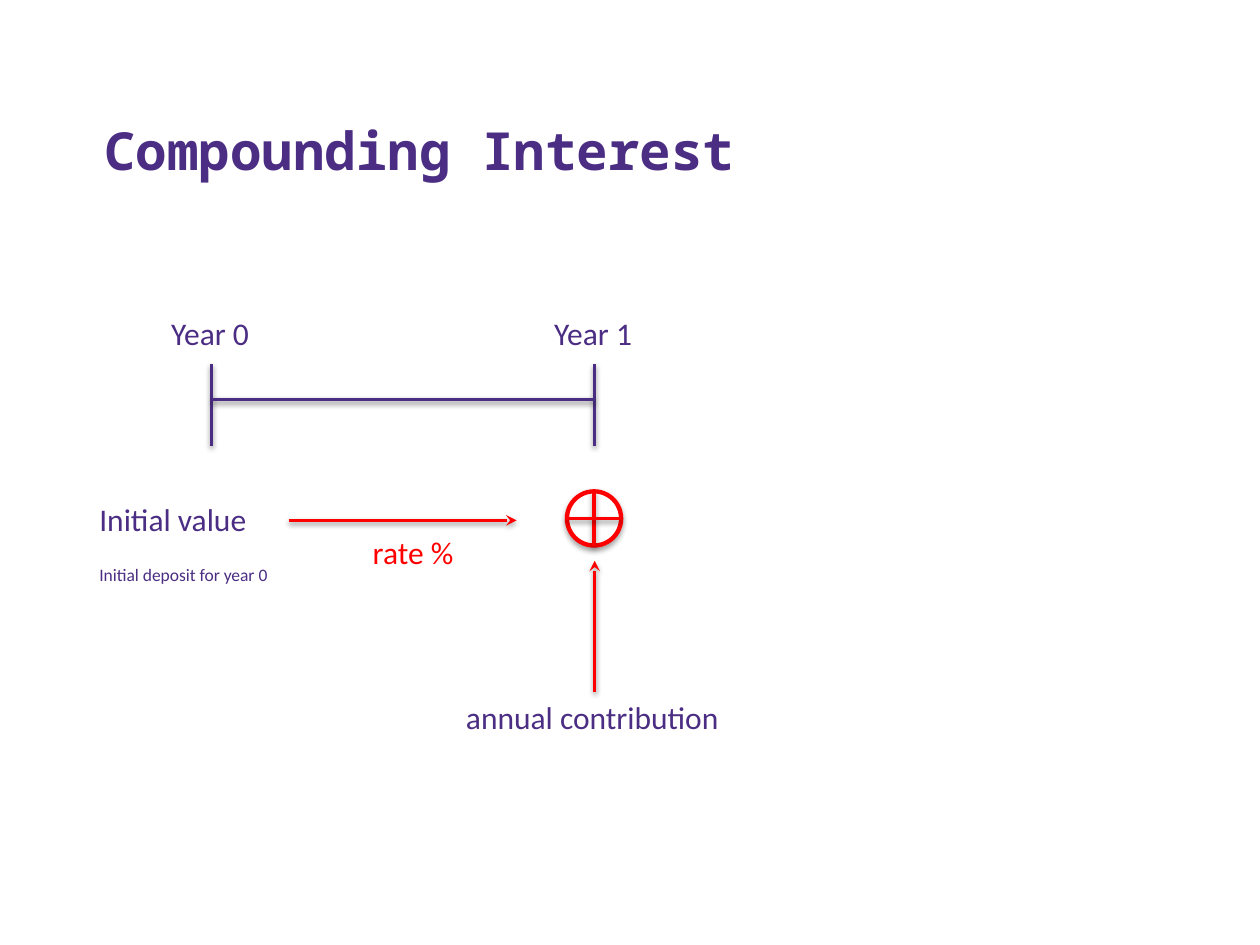
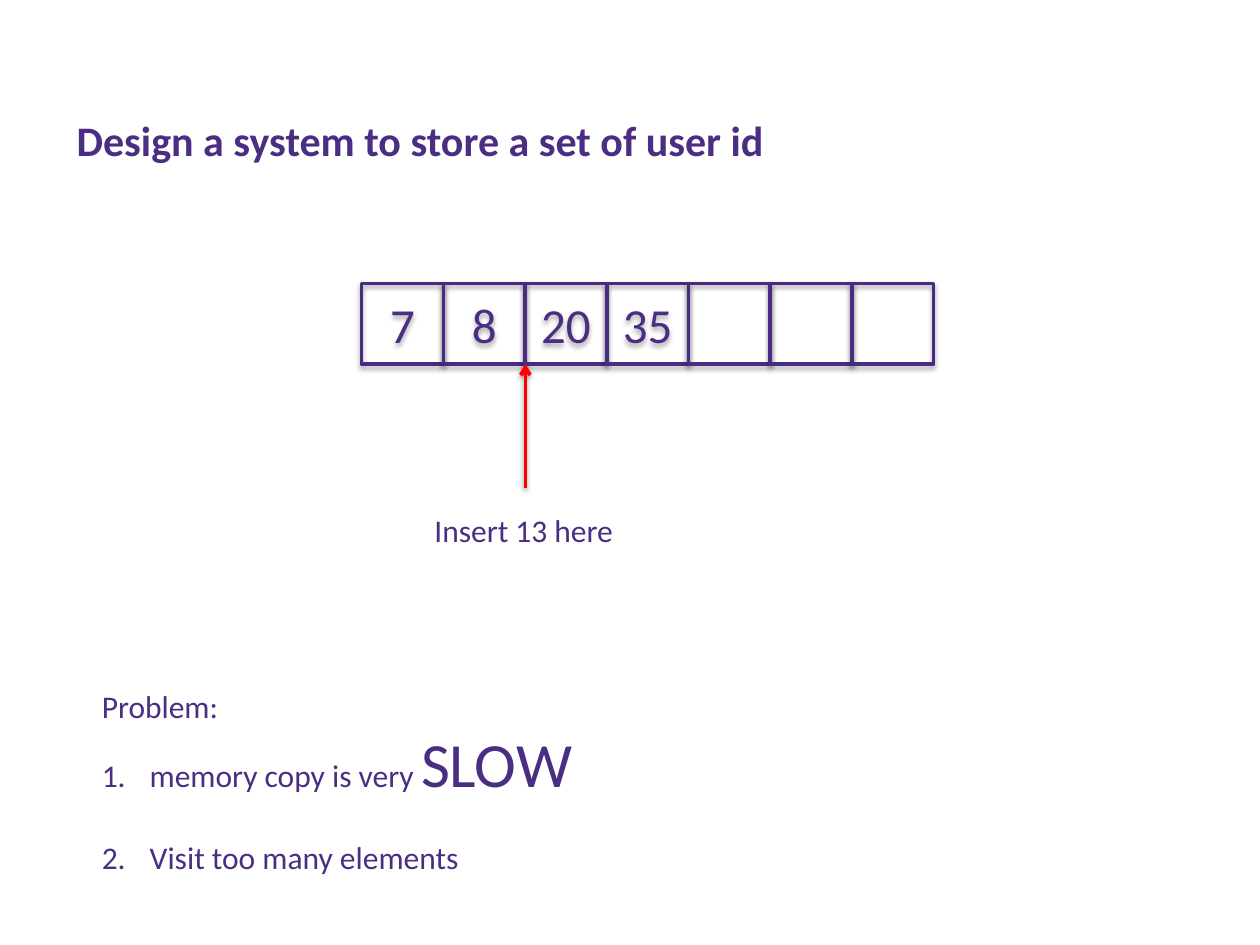
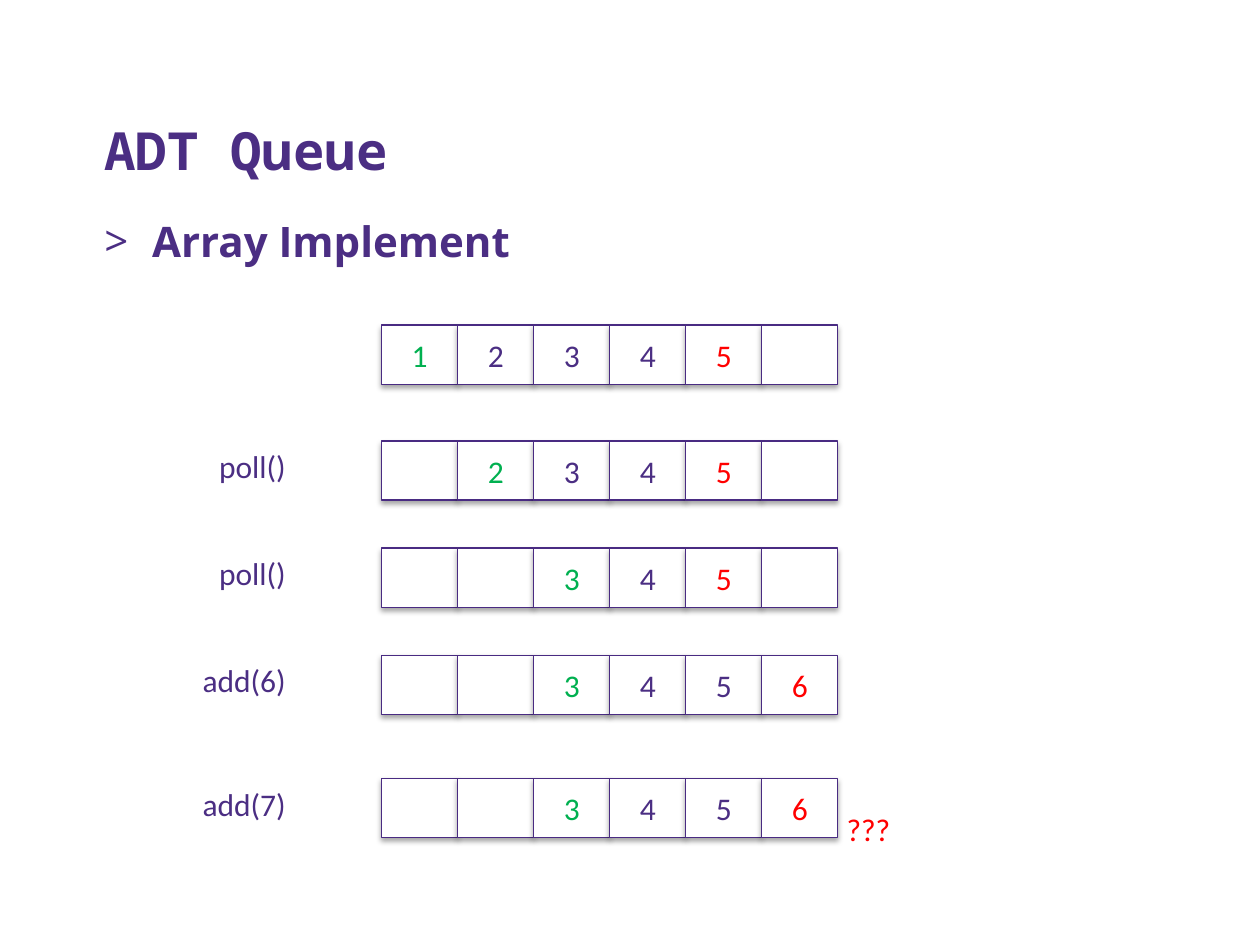
from lxml import etree
from pptx import Presentation
from pptx.dml.color import RGBColor
from pptx.enum.shapes import MSO_CONNECTOR, MSO_SHAPE
from pptx.enum.text import MSO_ANCHOR, MSO_AUTO_SIZE, PP_ALIGN
from pptx.oxml.ns import qn
from pptx.util import Inches, Pt

STRAIGHT = MSO_CONNECTOR.STRAIGHT
RECTANGLE = MSO_SHAPE.RECTANGLE
OVAL = MSO_SHAPE.OVAL
MIDDLE = MSO_ANCHOR.MIDDLE
BOTTOM = MSO_ANCHOR.BOTTOM
CENTER = PP_ALIGN.CENTER
FIT_SHAPE = MSO_AUTO_SIZE.SHAPE_TO_FIT_TEXT

PURPLE = "4B2E83"
BORDER = "492B82"
RED = "FF0000"
GREEN = "00B050"
WHITE = "FFFFFF"
BODY_FONT = "Calibri"
TITLE_FONT = "Noto Sans Mono"
HEADING_FONT = "Open Sans"


def color(value):
    return RGBColor.from_string(value)


def format_run(run, size, font=BODY_FONT, shade=PURPLE, bold=False):
    run.font.size = Pt(size)
    run.font.name = font
    run.font.color.rgb = color(shade)
    run.font.bold = bold


def add_shadow(item, opacity, distance):
    properties = item._element.spPr
    effects = properties.find(qn("a:effectLst"))
    if effects is None:
        effects = etree.SubElement(properties, qn("a:effectLst"))
    shadow = etree.SubElement(
        effects, qn("a:outerShdw"), blurRad=str(Pt(3.1)), dist=str(Pt(distance)),
        dir="5400000", rotWithShape="0")
    black = etree.SubElement(shadow, qn("a:srgbClr"), val="000000")
    etree.SubElement(black, qn("a:alpha"), val=str(opacity * 1000))


def add_line(page, start, end, shade, arrowhead=None):
    line = page.shapes.add_connector(STRAIGHT, *map(Inches, start + end))
    line.line.color.rgb = color(shade)
    line.line.width = Pt(2)
    if arrowhead:
        etree.SubElement(line.line._get_or_add_ln(), qn("a:tailEnd"), type=arrowhead)
    add_shadow(line, 38, 1.6)


def add_outlined(page, kind, box, border, width, fill=None):
    shape = page.shapes.add_shape(kind, *map(Inches, box))
    shape.shadow.inherit = False
    if fill:
        shape.fill.solid()
        shape.fill.fore_color.rgb = color(fill)
    else:
        shape.fill.background()
    shape.line.color.rgb = color(border)
    shape.line.width = Pt(width)
    add_shadow(shape, 35, 1.8)
    return shape


def add_label(page, text, box, size=18, shade=PURPLE, bold=False):
    label = page.shapes.add_textbox(*map(Inches, box))
    frame = label.text_frame
    frame.word_wrap = False
    frame.auto_size = FIT_SHAPE
    frame.text = text
    for para in frame.paragraphs:
        for run in para.runs:
            format_run(run, size, shade=shade, bold=bold)
    return frame


def add_title(page, text):
    frame = page.shapes.add_textbox(*map(Inches, (0.73, 0.41, 8.95, 1.08))).text_frame
    frame.word_wrap = True
    frame.vertical_anchor = BOTTOM
    frame.text = text
    format_run(frame.paragraphs[0].runs[0], 30, TITLE_FONT, bold=True)


def add_bullet(para, tag, **attributes):
    properties = para._p.get_or_add_pPr()
    properties.set("marL", str(Inches(0.38)))
    properties.set("indent", str(Inches(-0.38)))
    if tag == "a:buChar":
        etree.SubElement(properties, qn("a:buFont"), typeface=HEADING_FONT)
    etree.SubElement(properties, qn(tag), **attributes)


def add_cells(page, box, values, shades, size, border_width, fill=None):
    left, top, width, height = box
    cell_width = width / len(values)
    for index, value in enumerate(values):
        cell_box = (left + index * cell_width, top, cell_width, height)
        cell = add_outlined(page, RECTANGLE, cell_box, BORDER, border_width, fill)
        if value:
            frame = cell.text_frame
            frame.vertical_anchor = MIDDLE
            frame.text = value
            para = frame.paragraphs[0]
            para.alignment = CENTER
            format_run(para.runs[0], size, shade=shades.get(value, PURPLE))


def add_timeline(page, left, top, length):
    ends = (left, left + length)
    for year, x in enumerate(ends):
        add_line(page, (x, top + 0.45), (x, top + 1.1), PURPLE)
        add_label(page, f"Year {year}", (x - 0.42, top, 0.83, 0.4))
    add_line(page, (ends[0], top + 0.73), (ends[1], top + 0.73), PURPLE)


def add_plus_sign(page, left, top, size):
    add_outlined(page, OVAL, (left, top, size, size), RED, 2.5, WHITE)
    middle_x, middle_y = left + size / 2, top + size / 2
    add_line(page, (middle_x, top), (middle_x, top + size), RED)
    add_line(page, (left + size, middle_y), (left, middle_y), RED)


def build_interest(page):
    add_title(page, "Compounding Interest")
    add_label(page, "annual contribution", (3.6, 5.49, 2.23, 0.4))
    add_label(page, "Initial value", (0.69, 3.92, 1.38, 0.4))
    add_label(page, "Initial deposit for year 0", (0.69, 4.43, 1.56, 0.27), 10)
    add_line(page, (2.29, 4.13), (4.1, 4.13), RED, "stealth")
    add_label(page, "rate %", (2.86, 4.18, 0.85, 0.4), shade=RED)
    add_plus_sign(page, 4.5, 3.9, 0.43)
    add_line(page, (4.72, 5.49), (4.72, 4.45), RED, "stealth")
    add_timeline(page, 1.68, 2.44, 3.04)


def add_problems(page, box):
    frame = add_label(page, "Problem:\nmemory copy is very \nVisit too many elements", box)
    copying, visiting = frame.paragraphs[1:]
    for para in (copying, visiting):
        add_bullet(para, "a:buAutoNum", type="arabicPeriod")
    visiting.space_before = Pt(22)
    emphasis = copying.add_run()
    emphasis.text = "SLOW"
    format_run(emphasis, 36)


def build_user_ids(page):
    add_label(page, "Design a system to store a set of user id",
              (0.51, 0.86, 5.71, 0.5), 24, bold=True)
    values = ["7", "8", "20", "35", "", "", ""]
    add_cells(page, (2.87, 2.25, 4.54, 0.64), values, {}, 28, 2)
    add_line(page, (4.17, 3.87), (4.17, 2.89), RED, "arrow")
    add_label(page, "Insert 13 here", (3.35, 4.01, 1.64, 0.4))
    add_problems(page, (0.71, 5.4, 3.97, 1.62))


def add_heading(page, text, box):
    frame = page.shapes.add_textbox(*map(Inches, box)).text_frame
    frame.word_wrap = True
    frame.margin_top = Inches(0.43)
    frame.text = text
    para = frame.paragraphs[0]
    add_bullet(para, "a:buChar", char=">")
    format_run(para.runs[0], 24, HEADING_FONT, bold=True)


def add_queue_state(page, top, call, first, last):
    if call:
        width = 0.74 if call == "poll()" else 0.87
        add_label(page, call, (2.38 - width, top, width, 0.4))
    values = [str(n) if first <= n <= last else "" for n in range(1, 7)]
    shades = {str(first): GREEN, str(last): RED}
    add_cells(page, (3.03, top, 3.62, 0.47), values, shades, 18, 0.75, WHITE)


def build_queue(page):
    add_heading(page, "Array Implement", (0.73, 1.28, 9.16, 4.39))
    add_title(page, "ADT Queue")
    states = [
        (2.58, "", 1, 5),
        (3.5, "poll()", 2, 5),
        (4.35, "poll()", 3, 5),
        (5.2, "add(6)", 3, 6),
        (6.18, "add(7)", 3, 6),
    ]
    for state in states:
        add_queue_state(page, *state)
    add_label(page, "???", (6.62, 6.38, 0.55, 0.4), shade=RED)


def main():
    deck = Presentation()
    deck.slide_width = Inches(10)
    deck.slide_height = Inches(7.5)
    for build in (build_interest, build_user_ids, build_queue):
        build(deck.slides.add_slide(deck.slide_layouts[6]))
    deck.save("out.pptx")


if __name__ == "__main__":
    main()
